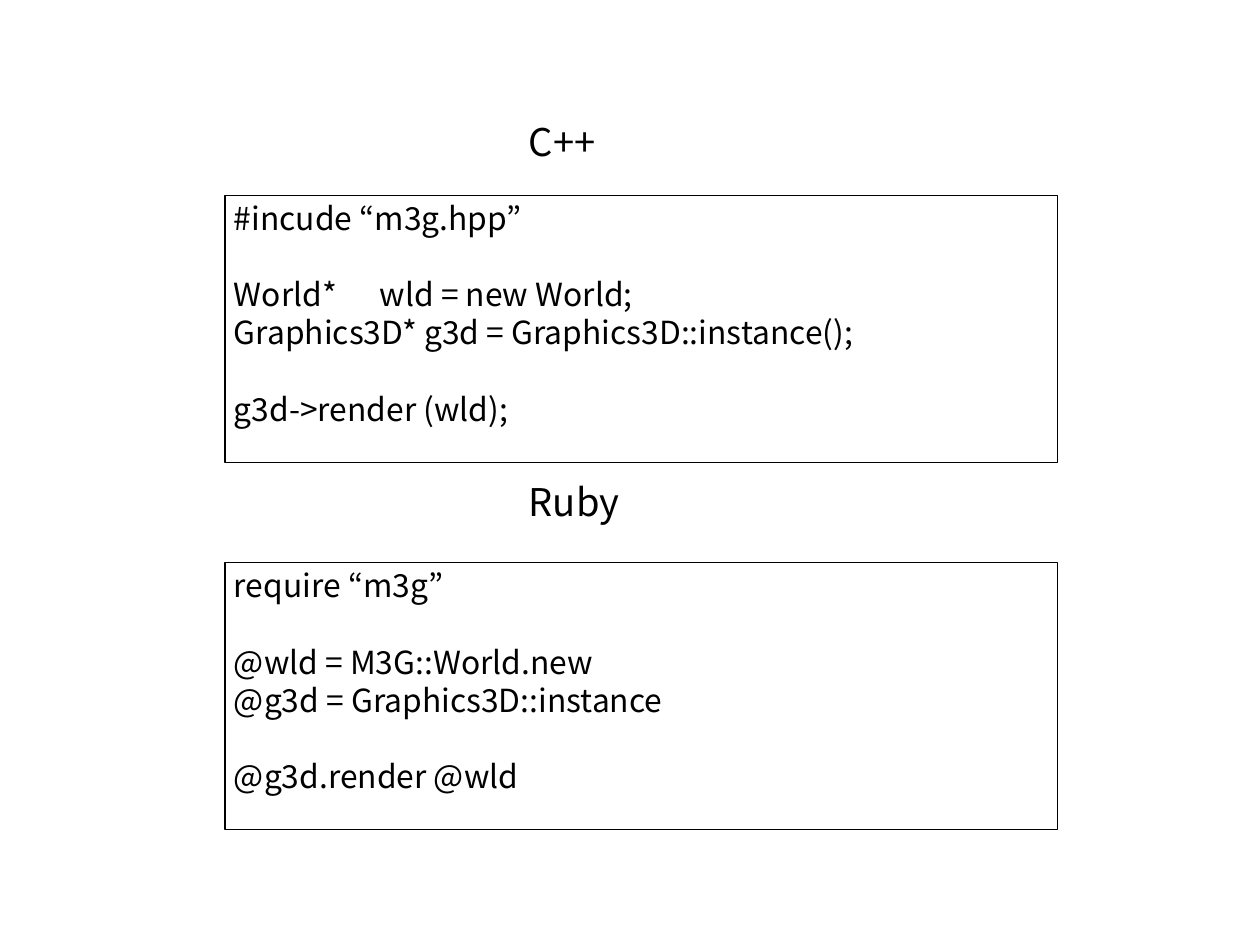
"""Build a slide that compares the same 3D program in C++ and Ruby."""
from pptx import Presentation, util as u
from pptx.dml.color import RGBColor
from pptx.enum import shapes, text

FONT = "Noto Sans CJK JP"
BLACK = "000000"
CODE_BLANK_LINE = u.Pt(24)

CPP_CODE = [
    ["#incude “m3g.hpp”"],
    ["World*      wld = new World;", "Graphics3D* g3d = Graphics3D::instance();"],
    ["g3d->render (wld);"],
]
RUBY_CODE = [
    ["require “m3g”"],
    ["@wld = M3G::World.new", "@g3d = Graphics3D::instance"],
    ["@g3d.render @wld"],
]


def color(value):
    """Return the colour for a hex string."""
    return RGBColor.from_string(value)


def set_all(target, values):
    """Set each named attribute on the target."""
    for name, value in values.items():
        setattr(target, name, value)


def prepare_frame(frame, side, edge):
    """Set wrapping, anchor and margins of a text frame."""
    set_all(frame, {
        "word_wrap": True,
        "auto_size": text.MSO_AUTO_SIZE.NONE,
        "vertical_anchor": text.MSO_ANCHOR.TOP,
        "margin_left": u.Cm(side),
        "margin_right": u.Cm(side),
        "margin_top": u.Cm(edge),
        "margin_bottom": u.Cm(edge),
    })


def write_line(paragraph, words, size):
    """Write one left-aligned black line."""
    paragraph.alignment = text.PP_ALIGN.LEFT
    run = paragraph.add_run()
    run.text = words
    set_all(run.font, {"name": FONT, "size": u.Pt(size)})
    run.font.color.rgb = color(BLACK)


def add_language(slide, name, top):
    """Add the heading that names a language."""
    heading = slide.shapes.add_textbox(u.Cm(11.5), u.Cm(top), u.Cm(4), u.Cm(1.45))
    prepare_frame(heading.text_frame, 0.25, 0.13)
    write_line(heading.text_frame.paragraphs[0], name, 24)


def add_listing(slide, blocks, top):
    """Add a framed code listing with a gap between its blocks."""
    listing = slide.shapes.add_shape(
        shapes.MSO_SHAPE.RECTANGLE, u.Cm(5), u.Cm(top), u.Cm(18.5), u.Cm(5.94))
    listing.shadow.inherit = False
    listing.fill.background()
    listing.line.color.rgb = color(BLACK)
    listing.line.width = u.Pt(0)
    frame = listing.text_frame
    prepare_frame(frame, 0.2, 0.08)
    for block_index, block in enumerate(blocks):
        for line_index, code in enumerate(block):
            first = block_index == line_index == 0
            paragraph = frame.paragraphs[0] if first else frame.add_paragraph()
            if block_index and not line_index:
                paragraph.space_before = CODE_BLANK_LINE
            write_line(paragraph, code, 20)


def main():
    """Build and save the slide."""
    deck = Presentation()
    set_all(deck, {"slide_width": u.Cm(28), "slide_height": u.Cm(21)})
    slide = deck.slides.add_slide(deck.slide_layouts[6])
    for name, code, heading_top, listing_top in (
        ("C++", CPP_CODE, 2.5, 4.34),
        ("Ruby", RUBY_CODE, 10.5, 12.5),
    ):
        add_listing(slide, code, listing_top)
        add_language(slide, name, heading_top)
    deck.save("out.pptx")


if __name__ == "__main__":
    main()
